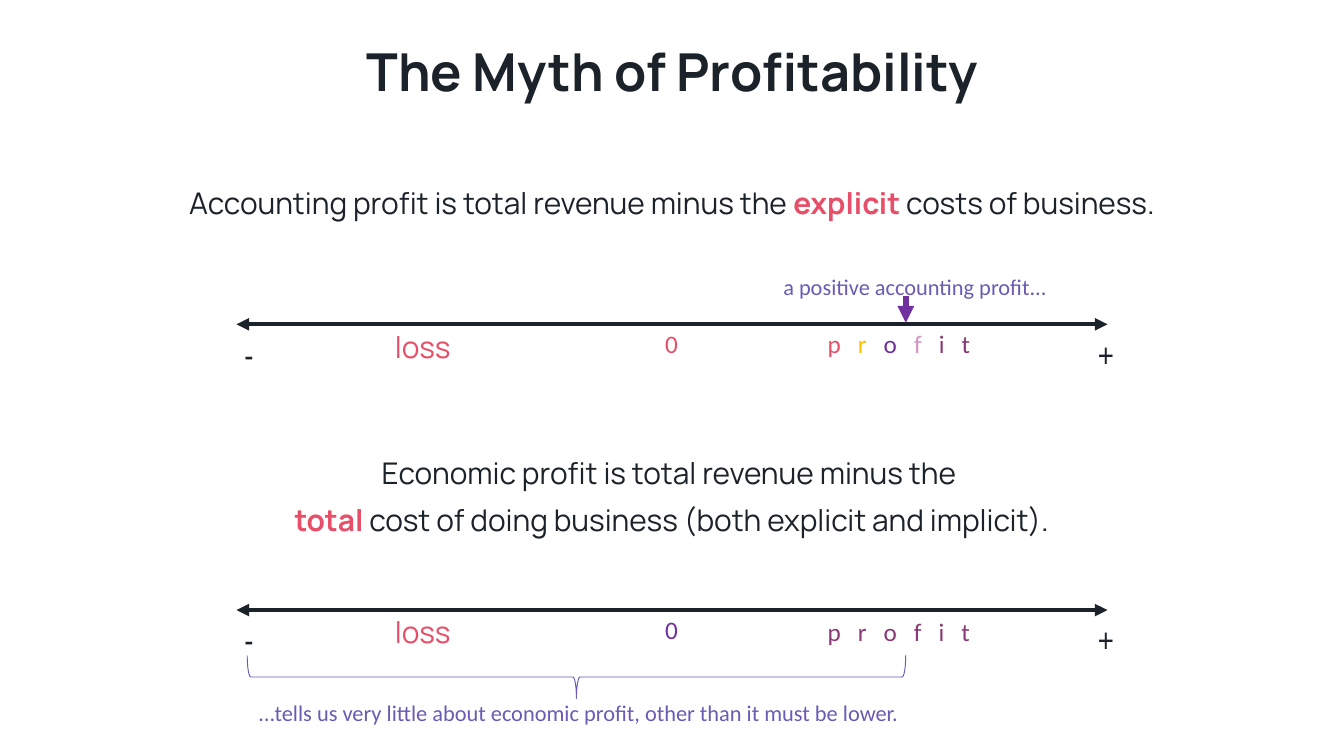
"""Build a slide contrasting accounting profit with economic profit."""
from lxml import etree
from pptx import Presentation
from pptx.dml.color import RGBColor
from pptx.enum.shapes import MSO_CONNECTOR, MSO_SHAPE
from pptx.enum.text import MSO_ANCHOR, PP_ALIGN
from pptx.oxml.ns import qn
from pptx.util import Inches, Pt

STRAIGHT = MSO_CONNECTOR.STRAIGHT
LEFT_BRACE = MSO_SHAPE.LEFT_BRACE
MIDDLE, TOP = MSO_ANCHOR.MIDDLE, MSO_ANCHOR.TOP
CENTER, LEFT = PP_ALIGN.CENTER, PP_ALIGN.LEFT

INK = RGBColor(0x1C, 0x22, 0x29)
RED = RGBColor(0xE6, 0x4F, 0x67)
GOLD = RGBColor(0xFF, 0xC0, 0x00)
PURPLE = RGBColor(0x70, 0x30, 0xA0)
PINK = RGBColor(0xD3, 0x95, 0xC3)
PLUM = RGBColor(0x89, 0x3A, 0x75)
VIOLET = RGBColor(0x6B, 0x5B, 0xB4)

deck = Presentation()
deck.slide_width = Inches(10)
deck.slide_height = deck.slide_width * 9 // 16
COL, ROW = deck.slide_width / 100, deck.slide_height / 100
slide = deck.slides.add_slide(deck.slide_layouts[6])


def write(col, row, cols, rows, lines, font, size, align=LEFT, anchor=TOP,
          bold=False, tracking=0):
    box = slide.shapes.add_textbox(
        int(col * COL), int(row * ROW), int(cols * COL), int(rows * ROW))
    frame = box.text_frame
    frame.word_wrap = True
    frame.vertical_anchor = anchor
    for index, line in enumerate(lines):
        paragraph = frame.add_paragraph() if index else frame.paragraphs[0]
        paragraph.alignment = align
        if align == CENTER:
            paragraph.line_spacing = 0.9
        if index:
            paragraph.space_before = Pt(7.5)
        for words, color in line:
            run = paragraph.add_run()
            run.text = words
            run.font.name, run.font.size = font, Pt(size)
            run.font.color.rgb = color
            run.font.bold = bold or words in ("explicit", "total")
            if tracking:
                run.font._element.set("spc", str(tracking))
    return frame


def arrow(start, end, color, width, ends):
    line = slide.shapes.add_connector(
        STRAIGHT, int(start[0] * COL), int(start[1] * ROW),
        int(end[0] * COL), int(end[1] * ROW))
    line.line.color.rgb, line.line.width = color, Pt(width)
    for end_tag in ends:
        etree.SubElement(line.line._get_or_add_ln(), qn(end_tag), type="triangle")
    etree.SubElement(line._element.spPr, qn("a:effectLst"))


write(6.9, 6.6, 86.2, 6.4, [[("The Myth of Profitability", INK)]],
      "Manrope", 28, CENTER, MIDDLE, bold=True)

accounting = [[("Accounting profit is total revenue minus the ", INK),
               ("explicit", RED), (" costs of business.", INK)]]
economic = [[("Economic profit is total revenue minus the ", INK)],
            [("total", RED),
             (" cost of doing business (both explicit and implicit).", INK)]]
for row, rows, statement in ((24.2, 6, accounting), (60, 13, economic)):
    frame = write(12.5, row, 75, rows, statement, "Manrope", 16, CENTER)
    frame.margin_left = frame.margin_right = Inches(0.07)
    frame.margin_top = frame.margin_bottom = Inches(0.04)

rainbow = [("p ", RED), ("r ", GOLD), ("o ", PURPLE), ("f ", PINK), ("i t", PLUM)]
scales = (
    (42.9, RED, rainbow, -0.36),
    (80.7, PURPLE, [("p r o f i t", PLUM)], 0),
)
for axis, zero_color, profit, profit_drop in scales:
    arrow((17.6, axis), (82.4, axis), INK, 2.25, ("a:headEnd", "a:tailEnd"))
    write(48.5, axis - 0.36, 3, 5.9, [[("0", zero_color)]], "Calibri", 13.5)
    write(28.4, axis - 0.36, 8.1, 6.6, [[("loss", RED)]], "Manrope", 16)
    write(60.6, axis + profit_drop, 17.6, 5.9, [profit], "Calibri", 13.5,
          tracking=305)
    for col, sign in ((17.2, "-"), (80.7, "+")):
        write(col, axis + 0.36, 3.4, 7.1, [[(sign, INK)]], "Arial Narrow", 18)

arrow((67.4, 39.2), (67.4, 42.7), PURPLE, 3, ("a:tailEnd",))
for col, row, cols, remark in (
        (57.3, 35.2, 28.7, "a positive accounting profit..."),
        (18.3, 91.6, 50.1, "…tells us very little about economic profit, "
                           "other than it must be lower.")):
    write(col, row, cols, 5.3, [[(remark, VIOLET)]], "Calibri", 12)

brace = slide.shapes.add_shape(
    LEFT_BRACE, int(41.3 * COL), int(46 * ROW), int(3.2 * COL), int(87.1 * ROW))
brace.rotation = 270
brace.shadow.inherit = False
brace.fill.background()
brace.line.color.rgb, brace.line.width = VIOLET, Pt(0.5)

deck.save("out.pptx")
